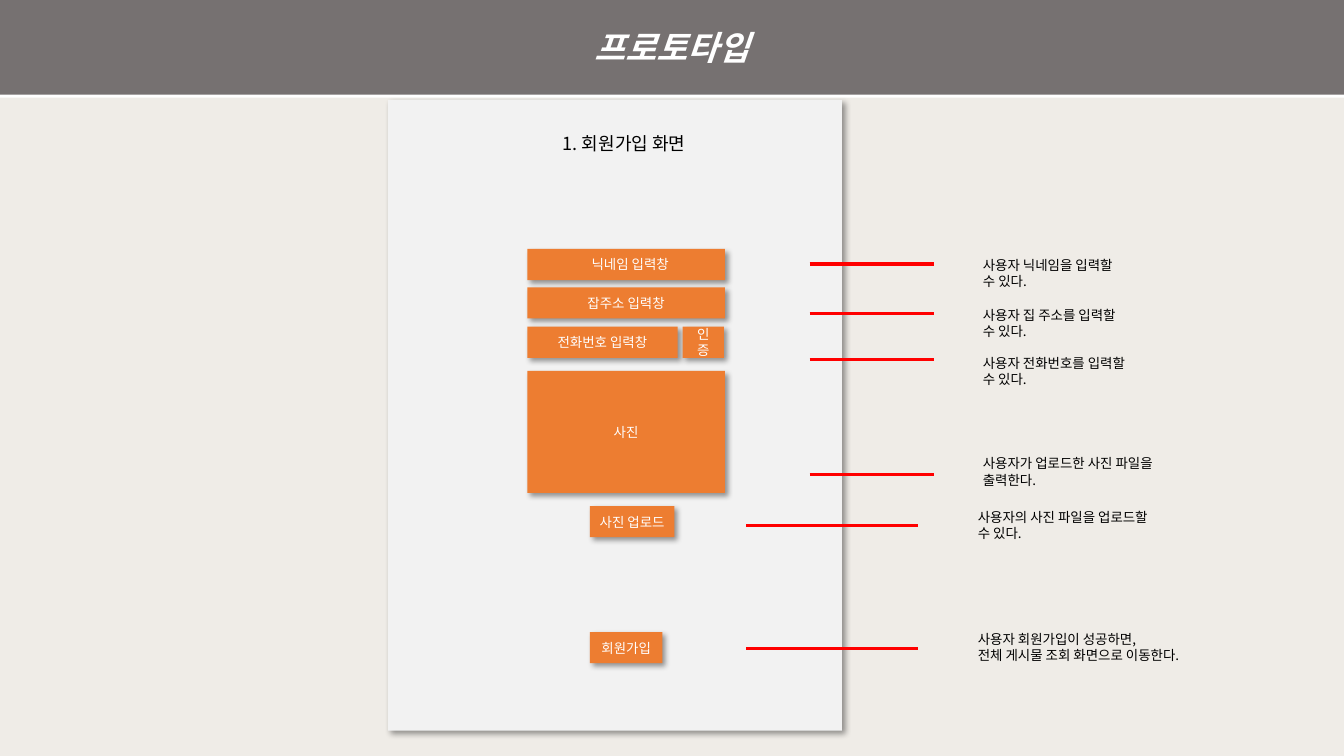
from dataclasses import dataclass

from lxml.etree import SubElement
from pptx import Presentation
from pptx.dml.color import RGBColor as Color
from pptx.enum.shapes import MSO_CONNECTOR as Link, MSO_SHAPE as Shape
from pptx.enum.text import MSO_ANCHOR as Anchor, MSO_AUTO_SIZE as Fit, PP_ALIGN as Align
from pptx.oxml.ns import qn
from pptx.util import Inches, Pt


@dataclass(frozen=True)
class Theme:
    """Colours, type sizes and shadows of the slide."""
    font: str = "Noto Sans CJK KR"
    page: str = "EFECE7"
    band: str = "767171"
    panel: str = "F2F2F2"
    field: str = "ED7D31"
    light: str = "FFFFFF"
    dark: str = "000000"
    mark: str = "FF0000"
    title: float = 24
    head: float = 12.9
    body: float = 9.6
    rule: float = 2.25
    edge: tuple = ("FFFFFF", 100, 0, 2, 90)
    drop: tuple = ("000000", 40, 4, 3, 45)


LOOK = Theme()


def shade(shape, glow):
    """Give a shape an outer shadow: colour, opacity, blur, distance, angle."""
    tint, alpha, blur, dist, angle = glow
    shape.shadow.inherit = False
    effects = shape._element.spPr.find(qn("a:effectLst"))
    outer = SubElement(effects, qn("a:outerShdw"), blurRad=str(Pt(blur)),
                       dist=str(Pt(dist)), dir=str(angle * 60000),
                       algn="tl", rotWithShape="0")
    hue = SubElement(outer, qn("a:srgbClr"), val=tint)
    SubElement(hue, qn("a:alpha"), val=str(alpha * 1000))


def write(frame, lines, size, tint, align, strong=False):
    """Fill a text frame with one paragraph per line."""
    frame.word_wrap = True
    for i, line in enumerate(lines):
        para = frame.add_paragraph() if i else frame.paragraphs[0]
        para.alignment = align
        run = para.add_run()
        run.text = line
        font = run.font
        font.size = Pt(size)
        font.color.rgb = Color.from_string(tint)
        font.name = LOOK.font
        if strong:
            font.bold = font.italic = True
        SubElement(run._r.get_or_add_rPr(), qn("a:ea"), typeface=LOOK.font)


def block(slide, box, fill, glow):
    """Add a plain rectangle with a shadow."""
    shape = slide.shapes.add_shape(Shape.RECTANGLE, *map(Inches, box))
    shape.fill.solid()
    shape.fill.fore_color.rgb = Color.from_string(fill)
    shape.line.fill.background()
    shade(shape, glow)
    return shape


def label(slide, box, lines, size, align):
    """Add a dark text box that grows with its text."""
    frame = slide.shapes.add_textbox(*map(Inches, box)).text_frame
    write(frame, lines, size, LOOK.dark, align)
    frame.auto_size = Fit.SHAPE_TO_FIT_TEXT


def header(slide, box, text):
    """Draw the title band."""
    frame = block(slide, box, LOOK.band, LOOK.edge).text_frame
    frame.vertical_anchor = Anchor.MIDDLE
    write(frame, [text], LOOK.title, LOOK.light, Align.CENTER, True)


def screen(slide, box, title, fields):
    """Draw the sign-up screen with its fields placed from its corner."""
    left, top, width, height = box
    block(slide, box, LOOK.panel, LOOK.drop)
    label(slide, (left - 0.08, top + 0.27, width + 0.34, 0.32),
          [title], LOOK.head, Align.CENTER)
    for text, x, y, wide, high, pad in fields:
        place = (left + x, top + y, wide, high)
        frame = block(slide, place, LOOK.field, LOOK.drop).text_frame
        frame.vertical_anchor = Anchor.MIDDLE
        frame.margin_left = Inches(pad)
        write(frame, [text], LOOK.body, LOOK.light, Align.CENTER)


def notes(slide, box, start, end, shift, items):
    """Draw leader lines and the remarks they lead to."""
    left, top = box[:2]
    for rule, y, wide, lines in items:
        level = Inches(top + rule)
        line = slide.shapes.add_connector(
            Link.STRAIGHT, Inches(left + start), level, Inches(left + end), level)
        line.line.color.rgb = Color.from_string(LOOK.mark)
        line.line.width = Pt(LOOK.rule)
        SubElement(line._element.spPr, qn("a:effectLst"))
        label(slide, (left + shift, top + y, wide, 0.43),
              lines, LOOK.body, Align.LEFT)


FULL, ROW, PAD = 1.96, 0.31, 0.1
FIELDS = [
    ("닉네임 입력창", 1.38, 1.48, FULL, ROW, 0.18),
    ("잡주소 입력창", 1.38, 1.86, FULL, ROW, PAD),
    ("전화번호 입력창", 1.38, 2.25, 1.49, ROW, PAD),
    ("인증", 2.92, 2.25, 0.41, ROW, PAD),
    ("사진", 1.38, 2.69, FULL, 1.21, PAD),
    ("사진 업로드", 2, 4.03, 0.84, ROW, PAD),
    ("회원가입", 2, 5.28, 0.72, ROW, PAD),
]
INPUTS = [
    (0.15, 0.03, 1.62, ["사용자 닉네임을 입력할 수 있다."]),
    (0.64, 0.53, 1.64, ["사용자 집 주소를 입력할 수 있다."]),
    (1.1, 1, 1.73, ["사용자 전화번호를 입력할 수 있다."]),
    (2.24, 2, 2.05, ["사용자가 업로드한 사진 파일을 출력한다."]),
]
ACTIONS = [
    (0.21, 0, 1.97, ["사용자의 사진 파일을 업로드할 수 있다."]),
    (1.43, 1.21, 3.32, ["사용자 회원가입이 성공하면,",
                        "전체 게시물 조회 화면으로 이동한다."]),
]


def main():
    """Build and save the slide."""
    deck = Presentation()
    deck.slide_width, deck.slide_height = Inches(13.33), Inches(7.5)
    slide = deck.slides.add_slide(deck.slide_layouts[6])
    slide.background.fill.solid()
    slide.background.fill.fore_color.rgb = Color.from_string(LOOK.page)
    header(slide, (0, 0, 13.33, 0.94), "프로토타입")
    screen(slide, (3.85, 0.99, 4.5, 6.26), "1. 회원가입 화면", FIELDS)
    notes(slide, (8.03, 2.47), 0, 1.23, 1.62, INPUTS)
    notes(slide, (7.4, 5), 0, 1.7, 2.2, ACTIONS)
    deck.save("out.pptx")


main()
